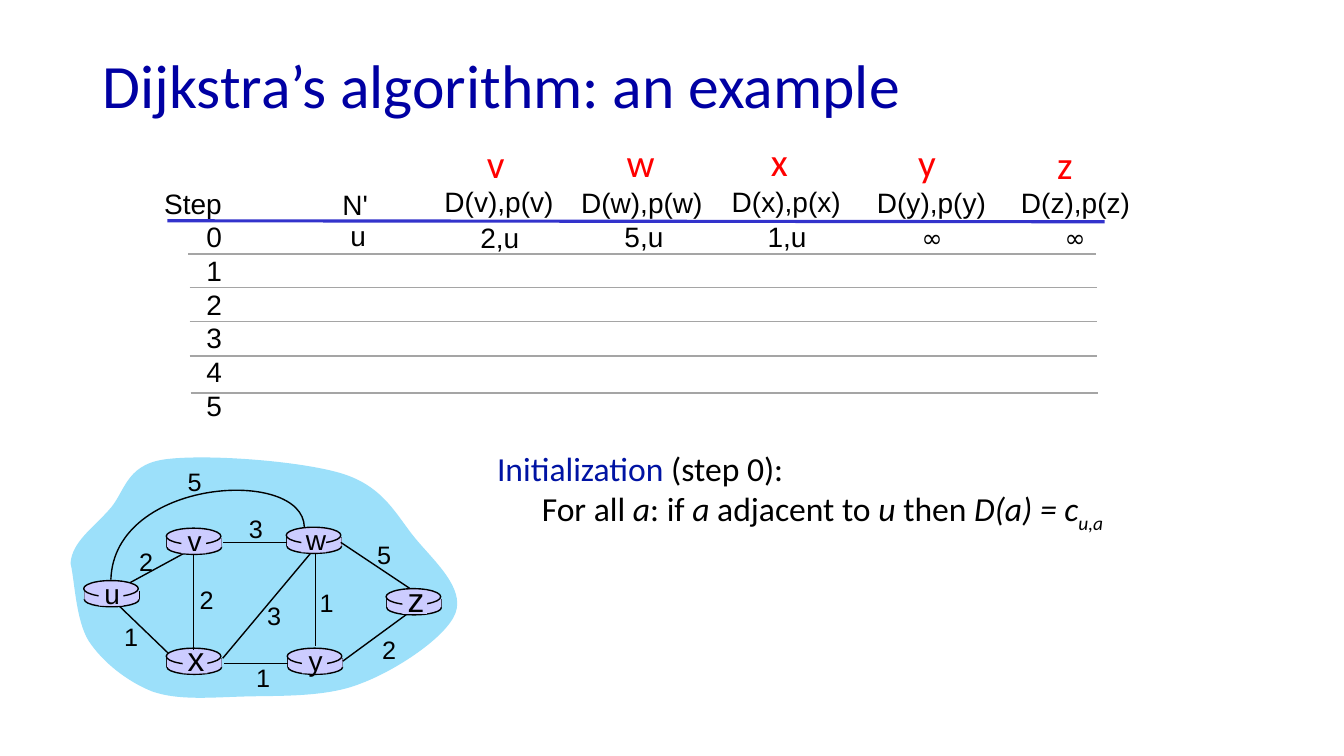
"""Build a slide showing the first step of Dijkstra's algorithm on a small network."""
from lxml.etree import SubElement
from pptx import Presentation
from pptx.dml.color import RGBColor
from pptx.enum.shapes import MSO_CONNECTOR, MSO_SHAPE
from pptx.enum.text import MSO_ANCHOR, MSO_AUTO_SIZE, PP_ALIGN
from pptx.oxml.ns import qn
from pptx.util import Pt

TITLE = "Dijkstra’s algorithm: an example"
STEPS = ["Step", "0", "1", "2", "3", "4", "5"]
STEPS_BOX = (110.2, 129.6, 55.4, 175)
HEADINGS = [
    ("N'", 236.9, 130.3, 33.1), ("D(v),p(v)", 309.6, 128.2, 92.9),
    ("D(w),p(w)", 406.8, 128.9, 102.2), ("D(x),p(x)", 514.8, 128.2, 92.9),
    ("D(y),p(y)", 618.5, 128.9, 92.9), ("D(z),p(z)", 721.4, 128.9, 92.9),
]
DISTANCES = [
    ("u", 242.6, 152.6, 25.9), ("2,u", 335.5, 154.1, 42.5),
    ("5,u", 438.5, 153.4, 42.5), ("1,u", 540.7, 153.4, 42.5),
]
INFINITIES = [("∞", 650.9, 155.5, 29.5), ("∞", 753.1, 155.5, 29.5)]
DESTINATIONS = [
    ("v", 340.6, 95.8, 27.4), ("w", 440.6, 95, 34.6), ("x", 543.6, 94.3, 26.6),
    ("y", 648.7, 95, 27.4), ("z", 748.1, 96.5, 25.9),
]
HEADER_RULE = (119.5, 157.7, 789.1, 158.4)
ROW_RULES = [(134.6, 181.4), (135.4, 205.2), (135.4, 229.7), (135.4, 254.2), (136.1, 280.8)]
RULE_LENGTH = 648

EXPLANATION = [
    (0, [("Initialization", "0013A3", ""), (" (step 0):", "000000", "")]),
    (32, [("For all ", "000000", ""), ("a", "000000", "italic"),
          (": if ", "000000", ""), ("a", "000000", "italic"),
          (" adjacent to ", "000000", ""), ("u", "000000", "italic"),
          (" then ", "000000", ""), ("D(a) = c", "000000", "italic"),
          ("u,a", "000000", "subscript")]),
]

CLOUD = [
    (50.4, 402.5), (51.1, 387.4), (67, 376.6), (77.8, 364.3),
    (89.3, 352.1), (89.3, 332.6), (116.6, 328.3),
    (144.7, 324), (214.6, 329), (244.8, 338.4),
    (274.3, 347.8), (283, 367.9), (296.6, 384.5),
    (310.3, 401), (331.9, 419.8), (325.4, 437.8),
    (319, 455), (283, 478.8), (257.8, 488.2),
    (233.3, 498.2), (199.4, 496.8), (175, 497.5),
    (149.8, 498.2), (127.4, 500.4), (108.7, 493.9),
    (90.7, 486.7), (73.4, 473), (63.4, 457.9),
    (54, 442.8), (53.3, 414), (50.4, 402.5),
]
ARC = [(217.4, 376.6), (216.7, 333.4), (81.4, 341.3), (79.2, 414)]
ARC_COST = ("5", 126.7, 329.8)

ROUTERS = {
    "u": (59.8, 414.7, 20), "x": (118.8, 463, 24), "v": (118.8, 377.3, 20),
    "w": (204.5, 376.6, 20), "y": (205.2, 463, 20), "z": (275.8, 420.5, 24),
}
LINKS = [
    ((92.9, 416.2, 135.4, 393.1), ("2", 92.2, 386.6)),
    ((225.4, 396, 225.4, 461.5), ("1", 221, 416.2)),
    ((138.2, 396.7, 138.2, 464.4), ("2", 135.4, 414)),
    ((159.1, 470.2, 221.8, 395.3), ("3", 183.6, 425.5)),
    ((244.8, 472.3, 290.9, 438.5), ("2", 265.7, 449.3)),
    ((205.9, 473.8, 159.8, 473.8), ("1", 175.7, 469.4)),
    ((120.2, 466.6, 85.7, 433.4), ("1", 81.4, 440.6)),
    ((205.2, 387.4, 159.1, 387.4), ("3", 170.6, 362.9)),
    ((293, 420.5, 243.4, 387.4), ("5", 262.1, 381.6)),
]
LILAC = "CCCCFF"


def color(value):
    return RGBColor.from_string(value)


def style(paragraph, font_name, size, text_color, alignment):
    paragraph.font.name = font_name
    paragraph.font.size = Pt(size)
    paragraph.font.color.rgb = color(text_color)
    paragraph.alignment = alignment


def place(shape, left, top, width, height):
    shape.left, shape.top, shape.width, shape.height = map(Pt, (left, top, width, height))


def paint(shape, fill=None, line=None):
    shape.shadow.inherit = False
    if fill:
        shape.fill.solid()
        shape.fill.fore_color.rgb = color(fill)
    else:
        shape.fill.background()
    if line:
        shape.line.color.rgb = color(line)
        shape.line.width = Pt(1)
    else:
        shape.line.fill.background()


def add_line(slide, ends, line_color="000000", width=1):
    connector = slide.shapes.add_connector(MSO_CONNECTOR.STRAIGHT, *map(Pt, ends))
    connector.line.color.rgb = color(line_color)
    connector.line.width = Pt(width)
    SubElement(connector.element.spPr, qn("a:effectLst"))


def add_solid(slide, kind, box, line=None):
    paint(slide.shapes.add_shape(kind, *map(Pt, box)), LILAC, line)


def add_text(slide, lines, box, size, alignment, font_name="Arial", text_color="000000"):
    frame = slide.shapes.add_textbox(*map(Pt, box)).text_frame
    frame.word_wrap = False
    frame.text = "\n".join(lines)
    for paragraph in frame.paragraphs:
        style(paragraph, font_name, size, text_color, alignment)


def add_curve(slide, points, closed, fill=None, line=None):
    vertices = [(Pt(x), Pt(y)) for x, y in points]
    builder = slide.shapes.build_freeform(*vertices[0], scale=1.0)
    builder.add_line_segments(vertices[1:], close=closed)
    shape = builder.convert_to_shape()
    paint(shape, fill, line)
    segments = list(shape.element.iter(qn("a:lnTo")))
    for start in range(0, len(points) - 1, 3):
        first, *others = segments[start:start + 3]
        first.tag = qn("a:cubicBezTo")
        for segment in others:
            first.append(segment[0])
            segment.getparent().remove(segment)


def add_router(slide, left, top):
    add_solid(slide, MSO_SHAPE.OVAL, (left + 0.5, top + 8.5, 39, 10.2), "000000")
    for x in (left + 0.5, left + 39.5):
        add_line(slide, (x, top + 7.2, x, top + 13.4))
    add_solid(slide, MSO_SHAPE.RECTANGLE, (left + 0.5, top + 7.2, 39, 6.3))
    add_solid(slide, MSO_SHAPE.OVAL, (left, top, 39, 11.5), "000000")


def add_distances(slide):
    add_text(slide, STEPS, STEPS_BOX, 20, PP_ALIGN.RIGHT)
    for entries, height, look in [
        (HEADINGS + DISTANCES, 31.5, (20, PP_ALIGN.RIGHT)),
        (INFINITIES, 29, (18, PP_ALIGN.RIGHT, "Comic Neue")),
        (DESTINATIONS, 41.2, (28, PP_ALIGN.LEFT, "Calibri", "FF0000")),
    ]:
        for text, left, top, width in entries:
            add_text(slide, [text], (left, top, width, height), *look)
    add_line(slide, HEADER_RULE, "3333CC", 2.25)
    for left, y in ROW_RULES:
        add_line(slide, (left, y, left + RULE_LENGTH, y), "A5A5A5")


def add_network(slide):
    add_curve(slide, CLOUD, True, fill="9CE0FA")
    for left, top, size in ROUTERS.values():
        add_router(slide, left, top)
    for ends, cost in LINKS:
        add_line(slide, ends)
    add_curve(slide, ARC, False, line="000000")
    for name, (left, top, size) in ROUTERS.items():
        nudge = (size - 20) / 4
        add_solid(slide, MSO_SHAPE.RECTANGLE, (left + 10.7 + nudge, top + 1.4, 17.6, 16.6))
        height = size * 1.2 + 7.2
        box = (left + 7 + nudge, top + 8.9 - 1.7 * nudge - height / 2, 26.6, height)
        add_text(slide, [name], box, size, PP_ALIGN.CENTER)
    for text, left, top in [cost for ends, cost in LINKS] + [ARC_COST]:
        add_text(slide, [text], (left, top, 24.5, 28.8), 18, PP_ALIGN.CENTER)


def fill_explanation(body):
    place(body, 347.8, 319.7, 485.3, 59.8)
    frame = body.text_frame
    frame.auto_size = MSO_AUTO_SIZE.NONE
    for index, (indent, runs) in enumerate(EXPLANATION):
        paragraph = frame.add_paragraph() if index else frame.paragraphs[0]
        style(paragraph, "Calibri", 24, "000000", PP_ALIGN.LEFT)
        paragraph.line_spacing = 0.9
        paragraph.space_before = Pt(0)
        properties = paragraph._p.get_or_add_pPr()
        properties.set("marL", str(Pt(indent)))
        properties.set("indent", "0")
        properties.insert_element_before(
            properties.makeelement(qn("a:buNone"), {}), "a:tabLst", "a:defRPr", "a:extLst")
        for text, run_color, emphasis in runs:
            run = paragraph.add_run()
            run.text = text
            run.font.color.rgb = color(run_color)
            run.font.italic = bool(emphasis)
            if emphasis == "subscript":
                run._r.get_or_add_rPr().set("baseline", "-25000")


def main():
    presentation = Presentation()
    presentation.slide_width, presentation.slide_height = Pt(960), Pt(540)
    slide = presentation.slides.add_slide(presentation.slide_layouts[1])
    title, body = slide.placeholders
    place(title, 66.2, 28.1, 880.6, 70.6)
    title.text_frame.text = TITLE
    title.text_frame.vertical_anchor = MSO_ANCHOR.MIDDLE
    style(title.text_frame.paragraphs[0], "Calibri", 44, "0000A3", PP_ALIGN.LEFT)
    title.text_frame.paragraphs[0].line_spacing = 0.9
    add_distances(slide)
    add_network(slide)
    fill_explanation(body)
    presentation.save("out.pptx")


if __name__ == "__main__":
    main()
